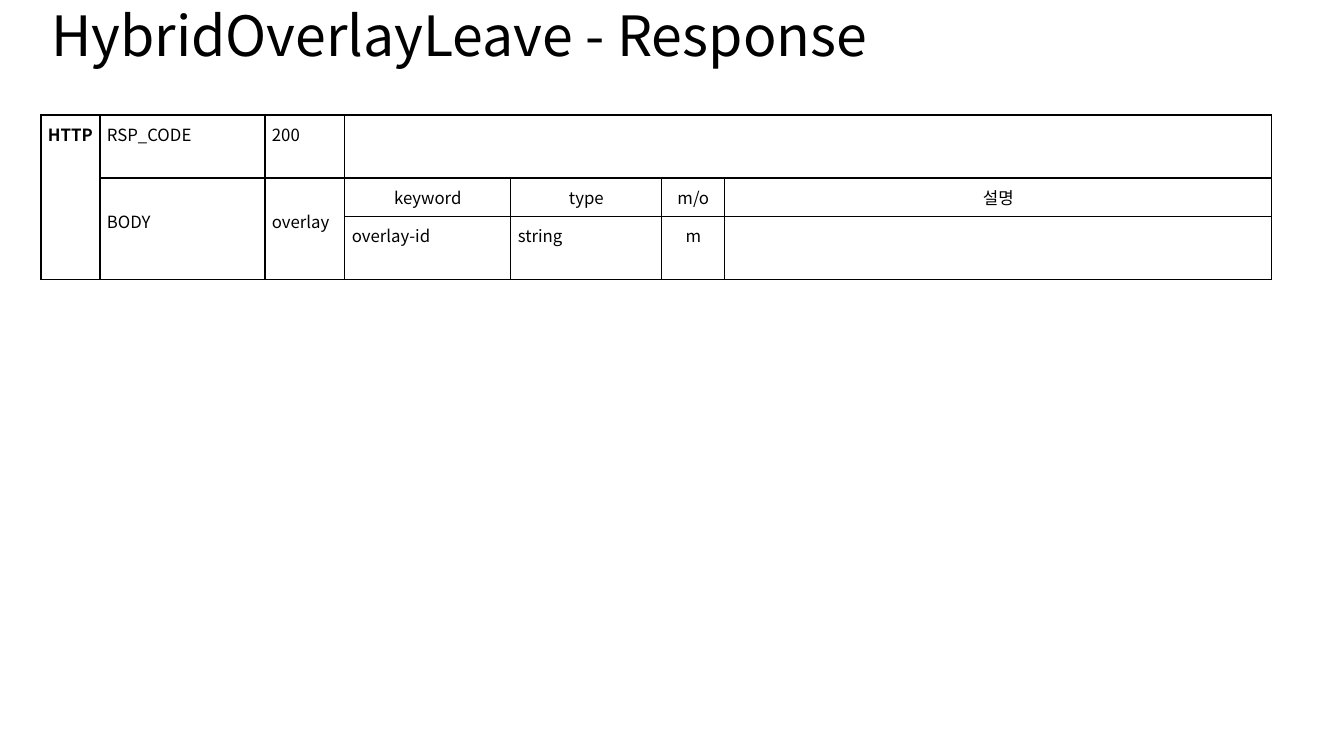
from lxml import etree
from pptx import Presentation, util as u
from pptx.dml.color import RGBColor
from pptx.enum import text as t
from pptx.oxml import ns

# Content
TITLE = "HybridOverlayLeave - Response"
ROWS = [
    ["HTTP", "RSP_CODE", "200", "", "", "", ""],
    ["", "BODY", "overlay", "keyword", "type", "m/o", "설명"],
    ["", "", "", "overlay-id", "string", "m", ""],
]
MERGES = [((0, 0), (2, 0)), ((0, 3), (0, 6)), ((1, 1), (2, 1)), ((1, 2), (2, 2))]
CENTERED = {"keyword", "type", "m/o", "설명", "m"}
LOWERED = {"BODY", "overlay"}

# Geometry in px
SLIDE = (1344, 756)
TITLE_BOX = (41, 2, 1257, 73)
TABLE_AT = (41, 115)
COLUMNS = [59, 165, 80, 166, 151, 63, 547]
HEIGHTS = [63, 38, 63]
INSET, LINE = 7, 24

FONT = "Noto Sans CJK KR"
COLORS = {"ink": "000000"}


def px(length):
    return u.Emu(round(length * 914400 / 100.8))


def style_span(span, size, bold=False):
    formats = {"name": FONT, "size": u.Pt(size), "bold": bold}
    for name, value in formats.items():
        setattr(span.font, name, value)
    span.font.color.rgb = RGBColor.from_string(COLORS["ink"])
    east_asian = etree.SubElement(span.font._element, ns.qn("a:ea"))
    east_asian.set("typeface", FONT)


def add_borders(cell):
    props = cell._tc.get_or_add_tcPr()
    for index, side in enumerate(("lnL", "lnR", "lnT", "lnB")):
        line = etree.Element(ns.qn(f"a:{side}"), w=str(u.Pt(1)))
        fill = etree.SubElement(line, ns.qn("a:solidFill"))
        etree.SubElement(fill, ns.qn("a:srgbClr"), val=COLORS["ink"])
        props.insert(index, line)


deck = Presentation()
deck.slide_width, deck.slide_height = map(px, SLIDE)
page = deck.slides.add_slide(deck.slide_layouts[5])

# Title
title = page.shapes.title
for side, value in zip(("left", "top", "width", "height"), TITLE_BOX):
    setattr(title, side, px(value))
frame = title.text_frame
frame.auto_size = t.MSO_AUTO_SIZE.NONE
frame.vertical_anchor = t.MSO_ANCHOR.MIDDLE
para = frame.paragraphs[0]
para.alignment = t.PP_ALIGN.LEFT
para.line_spacing = 0.9
span = para.add_run()
span.text = TITLE
style_span(span, 39.6)

# Table
table = page.shapes.add_table(
    len(ROWS), len(COLUMNS), *map(px, (*TABLE_AT, sum(COLUMNS), sum(HEIGHTS)))
).table
table.first_row = table.horz_banding = False
for column, width in zip(table.columns, COLUMNS):
    column.width = px(width)
for row, height in zip(table.rows, HEIGHTS):
    row.height = px(height)
for first, last in MERGES:
    table.cell(*first).merge(table.cell(*last))

# Cells
for row, words in enumerate(ROWS):
    for column, word in enumerate(words):
        cell = table.cell(row, column)
        cell.fill.background()
        add_borders(cell)
        for side in ("left", "right", "top", "bottom"):
            setattr(cell, f"margin_{side}", px(INSET))
        if word in LOWERED:
            cell.margin_top = px(INSET + LINE)
        if word:
            para = cell.text_frame.paragraphs[0]
            para.alignment = t.PP_ALIGN.CENTER if word in CENTERED else t.PP_ALIGN.LEFT
            span = para.add_run()
            span.text = word
            style_span(span, 12, bold=word == "HTTP")

deck.save("out.pptx")
